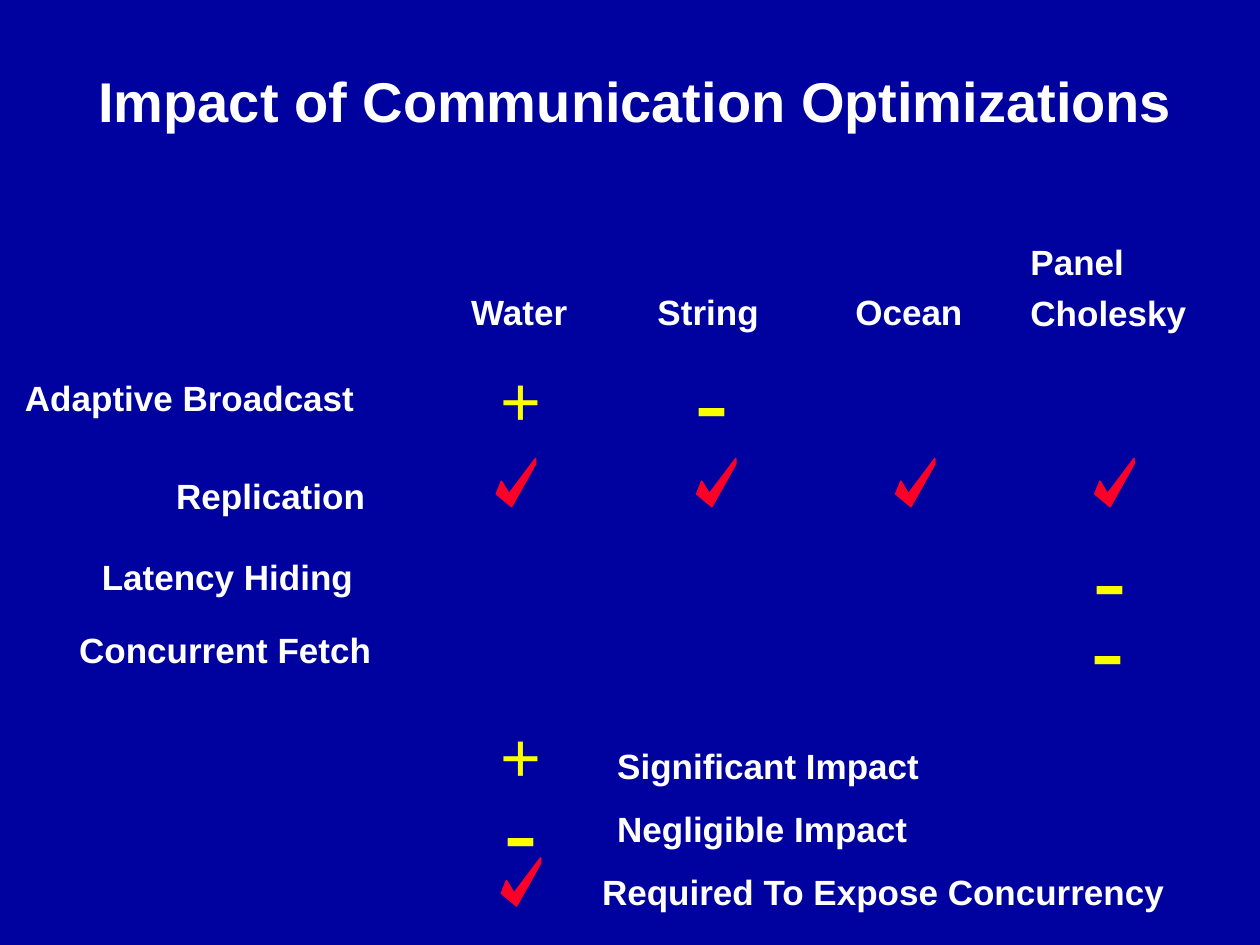
from pptx import Presentation
from pptx.dml.color import RGBColor
from pptx.enum.text import MSO_ANCHOR as Anchor, MSO_AUTO_SIZE as AutoSize, PP_ALIGN as Align
from pptx.util import Pt

PX = 9144  # EMU in one px, 100 px to the inch
NAVY = RGBColor(0x00, 0x02, 0x9F)
WHITE = RGBColor(0xFF, 0xFF, 0xFF)
YELLOW = RGBColor(0xFA, 0xFD, 0x00)
RED = RGBColor(0xFC, 0x01, 0x28)

LABEL = dict(name="Arial", size=Pt(20), bold=True)
HEADING = dict(LABEL, size=Pt(32))
PLUS = dict(name="Arial", size=Pt(40), bold=False)
MINUS = dict(PLUS, size=Pt(60))
CHECK_POINTS = [(4, 18), (0, 28), (12, 38), (31, 4), (31, 0), (10, 28)]


def add_text(slide, box, lines, font_format=LABEL, color=WHITE):
    shape = slide.shapes.add_textbox(*(value * PX for value in box))
    frame = shape.text_frame
    frame.word_wrap = False
    frame.auto_size = AutoSize.NONE
    for index, line in enumerate(lines.split("\n")):
        paragraph = frame.add_paragraph() if index else frame.paragraphs[0]
        paragraph.text = line
        paragraph.alignment = Align.LEFT
        if index:
            paragraph.space_before = Pt(5)
        for name, value in font_format.items():
            setattr(paragraph.font, name, value)
        paragraph.font.color.rgb = color
    return shape


def add_plus(slide, x, y):
    add_text(slide, (x, y, 52, 76), "+", PLUS, YELLOW)


def add_minus(slide, x, y):
    add_text(slide, (x, y, 48, 110), "-", MINUS, YELLOW)


def add_check(slide, x, y):
    points = [(x + dx, y + dy) for dx, dy in CHECK_POINTS]
    builder = slide.shapes.build_freeform(*points[0], scale=PX)
    builder.add_line_segments(points[1:], close=True)
    shape = builder.convert_to_shape()
    shape.shadow.inherit = False
    shape.fill.solid()
    shape.fill.fore_color.rgb = RED
    shape.line.color.rgb = RED
    shape.line.width = Pt(1)


def add_title(slide, box):
    shape = add_text(slide, box, "Impact of Communication Optimizations", HEADING)
    frame = shape.text_frame
    frame.word_wrap = True
    frame.vertical_anchor = Anchor.MIDDLE
    frame.paragraphs[0].alignment = Align.CENTER


def add_matrix(slide, box):
    left, top = box[:2]

    # Application names across the top
    for text, x, y, width, height in [
        ("Water", 354, 40, 99, 43),
        ("String", 502, 40, 103, 43),
        ("Ocean", 659, 40, 107, 43),
        ("Panel\nCholesky", 798, 0, 146, 83),
    ]:
        add_text(slide, (left + x, top + y, width, height), text)

    # Optimization names down the side
    for text, x, y, width in [
        ("Adaptive Broadcast", 0, 108, 284),
        ("Replication", 120, 186, 172),
        ("Latency Hiding", 61, 250, 222),
        ("Concurrent Fetch", 43, 308, 254),
    ]:
        add_text(slide, (left + x, top + y, width, 43), text)

    # Ratings in the cells
    add_plus(slide, left + 377, top + 92)
    for x, y in [(531, 75), (847, 217), (846, 272)]:
        add_minus(slide, left + x, top + y)
    for x in (384, 543, 701, 859):
        add_check(slide, left + x, top + 178)


def add_legend(slide, box):
    left, top = box[:2]
    add_plus(slide, left, top)
    add_minus(slide, left + 3, top + 42)
    add_check(slide, left + 11, top + 120)
    for row, (text, x, width) in enumerate([
        ("Significant Impact", 93, 262),
        ("Negligible Impact", 93, 253),
        ("Required To Expose Concurrency", 81, 470),
    ]):
        add_text(slide, (left + x, top + 25 + 50 * row, width, 43), text)


def main():
    presentation = Presentation()
    presentation.slide_width = 1000 * PX
    presentation.slide_height = 750 * PX
    slide = presentation.slides.add_slide(presentation.slide_layouts[6])
    slide.background.fill.solid()
    slide.background.fill.fore_color.rgb = NAVY
    add_title(slide, (67, 17, 875, 125))
    add_matrix(slide, (10, 186, 944, 382))
    add_legend(slide, (387, 561, 551, 168))
    presentation.save("out.pptx")


if __name__ == "__main__":
    main()
